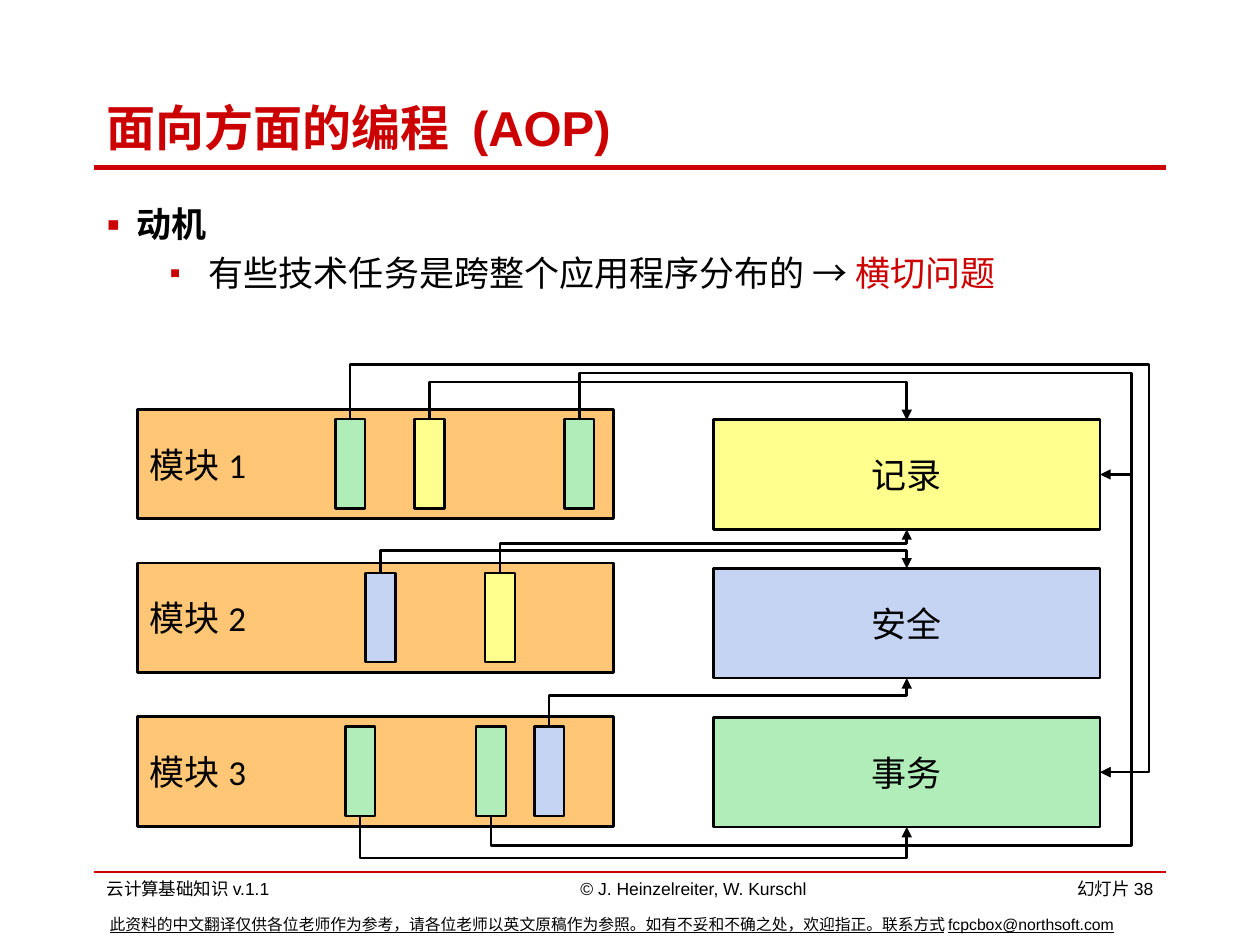
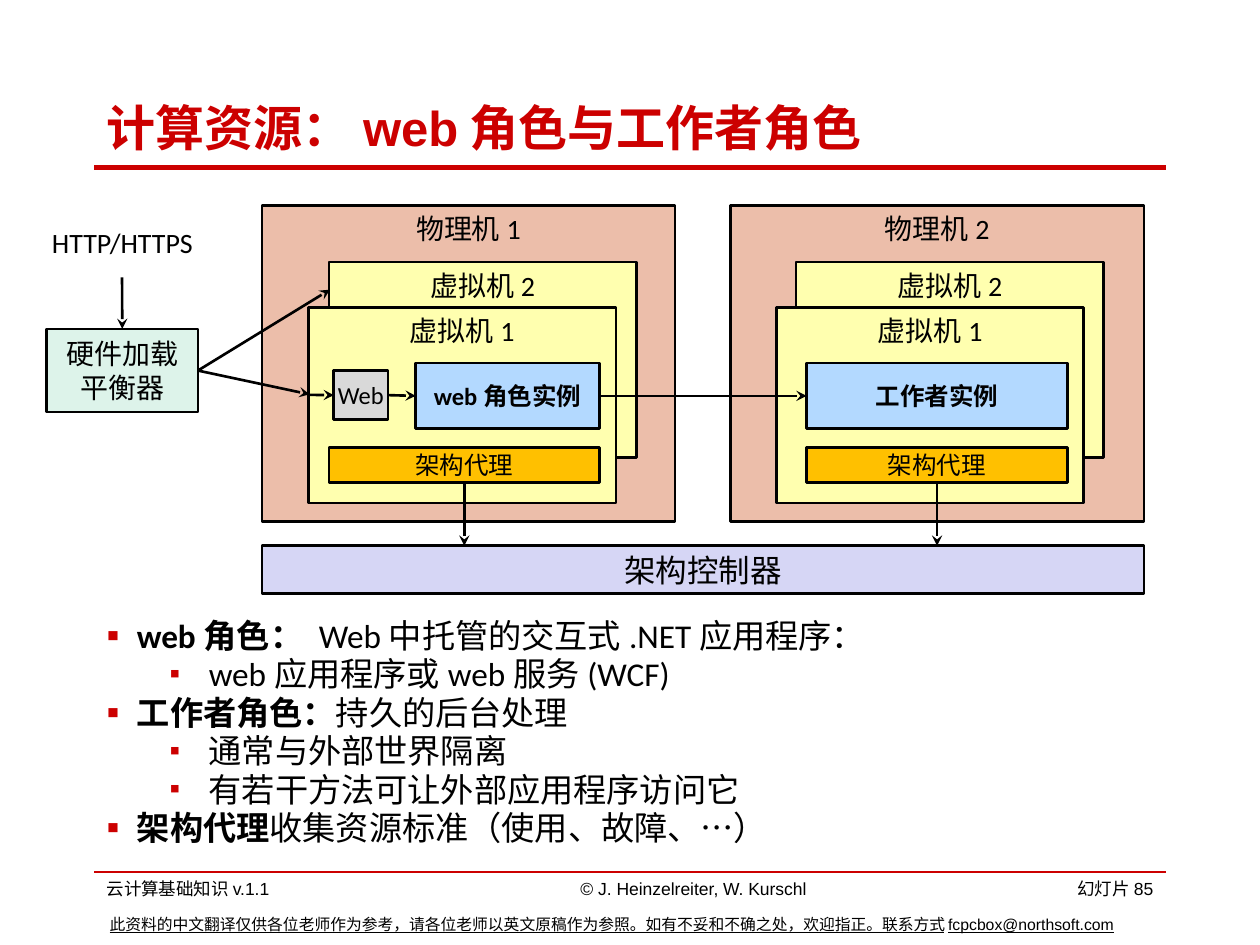
from dataclasses import dataclass

from lxml.etree import SubElement
from pptx import Presentation
from pptx.dml.color import RGBColor
from pptx.enum.shapes import MSO_CONNECTOR, MSO_SHAPE
from pptx.enum.text import MSO_ANCHOR, MSO_AUTO_SIZE, PP_ALIGN
from pptx.oxml.ns import qn
from pptx.util import Cm, Pt

TOP, LEFT, BOTTOM, RIGHT = range(4)  # connection sites of a rectangle


@dataclass(frozen=True)
class Theme:
    red: str = "CC0000"
    black: str = "000000"
    module: str = "FFC775"
    logging: str = "FFFF8D"
    security: str = "C5D4F3"
    transaction: str = "B1EDB8"
    machine: str = "ECBEAA"
    virtual: str = "FFFFAF"
    role: str = "B3D9FF"
    agent: str = "FFC000"
    controller: str = "D6D6F5"
    balancer: str = "DDF3EA"
    server: str = "D9D9D9"
    heading_font: str = "Arial"
    body_font: str = "Calibri"
    title_size: float = 28
    body_size: float = 20
    dense_size: float = 19
    bar_size: float = 18
    label_size: float = 16
    small_size: float = 14
    footer_size: float = 10
    note_size: float = 9
    outline: float = 1.5


def assign(target, values):
    for name, value in values.items():
        setattr(target, name, value)


class SlideBuilder:
    def __init__(self, deck, theme):
        self.deck, self.theme, self.page = deck, theme, None

    # Page frame: title, rules and footers
    def start(self, title, number):
        theme = self.theme
        self.page = self.deck.slides.add_slide(self.deck.slide_layouts[5])
        heading = self.page.shapes.title
        self.place(heading, 1.9, 1.7, 21.8, 1.7)
        self.fill_text(heading, [(title, {"bold": True, "color": theme.red})],
                       size=theme.title_size, font=theme.heading_font)
        for y, width in ((17.58, 1), (3.38, 3)):
            self.line((1.9, y), (23.5, y), theme.red, width)
        footers = (
            ("云计算基础知识v.1.1", 1.9, 7.52, PP_ALIGN.LEFT),
            ("© J. Heinzelreiter, W. Kurschl", 11.4, 5.16, PP_ALIGN.CENTER),
            (f"幻灯片{number}", 20.5, 3, PP_ALIGN.RIGHT),
        )
        for words, left, width, align in footers:
            self.text(words, (left, 17.58, width, 0.69), theme.footer_size,
                      theme.heading_font, align)
        self.text("此资料的中文翻译仅供各位老师作为参考，请各位老师以英文原稿作为参照。"
                  "如有不妥和不确之处，欢迎指正。联系方式fcpcbox@northsoft.com",
                  (1.96, 18.31, 21.87, 0.64), theme.note_size,
                  theme.heading_font, underline=True)

    @staticmethod
    def place(shape, left, top, width, height):
        assign(shape, {"left": Cm(left), "top": Cm(top),
                       "width": Cm(width), "height": Cm(height)})

    # Text
    def spans(self, para, parts, size, font):
        for words, style in parts:
            span = para.add_run()
            span.text = words
            style = {"color": self.theme.black, "bold": False, **style}
            span.font.color.rgb = RGBColor.from_string(style.pop("color"))
            assign(span.font, {"name": font, "size": Pt(size), **style})

    def fill_text(self, shape, parts, size, font, align=PP_ALIGN.LEFT,
                  anchor=MSO_ANCHOR.MIDDLE, wrap=True):
        frame = shape.text_frame
        assign(frame, {
            "auto_size": MSO_AUTO_SIZE.NONE, "word_wrap": wrap,
            "vertical_anchor": anchor,
            "margin_left": Cm(0.25), "margin_right": Cm(0.25),
            "margin_top": Cm(0.13), "margin_bottom": Cm(0.13)})
        frame.paragraphs[0].alignment = align
        self.spans(frame.paragraphs[0], parts, size, font)

    def text(self, words, area, size, font, align=PP_ALIGN.LEFT, **style):
        box = self.page.shapes.add_textbox(*map(Cm, area))
        self.fill_text(box, [(words, style)], size, font, align, MSO_ANCHOR.TOP)

    def bullets(self, area, rows, size, spacing=1.0):
        """Each row is (level, parts)."""
        box = self.page.shapes.add_textbox(*map(Cm, area))
        self.fill_text(box, [], size, self.theme.body_font, anchor=MSO_ANCHOR.TOP)
        frame = box.text_frame
        for index, (level, parts) in enumerate(rows):
            para = frame.add_paragraph() if index else frame.paragraphs[0]
            indent, hang, percent = ((0.61, 0.61, 110), (2.06, 0.79, 90))[level]
            props = para._p.get_or_add_pPr()
            props.set("marL", str(Cm(indent)))
            props.set("indent", str(-Cm(hang)))
            color = SubElement(props, qn("a:buClr"))
            SubElement(color, qn("a:srgbClr")).set("val", self.theme.red)
            SubElement(props, qn("a:buSzPct")).set("val", str(percent * 1000))
            SubElement(props, qn("a:buFont")).set("typeface", self.theme.heading_font)
            SubElement(props, qn("a:buChar")).set("char", "▪")
            assign(para, {"level": level, "line_spacing": spacing,
                          "space_before": Pt(size * 0.2 if index else 0)})
            self.spans(para, parts, size, self.theme.body_font)

    # Rectangles
    def box(self, area, fill, words="", size=0, align=PP_ALIGN.CENTER,
            anchor=MSO_ANCHOR.MIDDLE, wrap=False, **style):
        box = self.page.shapes.add_shape(MSO_SHAPE.RECTANGLE, *map(Cm, area))
        box.shadow.inherit = False
        box.fill.solid()
        box.fill.fore_color.rgb = RGBColor.from_string(fill)
        box.line.color.rgb = RGBColor.from_string(self.theme.black)
        box.line.width = Pt(self.theme.outline)
        if words:
            self.fill_text(box, [(words, style)], size, self.theme.body_font,
                           align, anchor, wrap)
        return box

    # Lines and arrows; an end is a point or a (box, site) pair
    def line(self, start, end, color=None, width=None, head=None,
             kind=MSO_CONNECTOR.STRAIGHT):
        free = [isinstance(point[0], (int, float)) for point in (start, end)]
        points = [point if loose else (0, 0)
                  for point, loose in zip((start, end), free)]
        link = self.page.shapes.add_connector(
            kind, *(Cm(value) for point in points for value in point))
        if not free[0]:
            link.begin_connect(*start)
        if not free[1]:
            link.end_connect(*end)
        link.line.color.rgb = RGBColor.from_string(color or self.theme.black)
        link.line.width = Pt(width or self.theme.outline)
        if head:
            SubElement(link.line._get_or_add_ln(), qn("a:tailEnd")).set("type", head)
        SubElement(link._element.spPr, qn("a:effectLst"))
        return link

    def arrow(self, start, end):
        self.line(start, end, head="stealth")

    def elbow(self, start, end, lane_y, lane_x=None):
        """Leave vertically to lane_y, then optionally turn again at lane_x."""
        link = self.line(start, end, head="triangle", kind=MSO_CONNECTOR.ELBOW)
        x, y = link.begin_x, link.begin_y
        across, down = link.end_x - x, link.end_y - y
        if abs(down) < Cm(0.02):
            down = Cm(0.02)
        ratios = [(Cm(lane_y) - y) / down]
        if lane_x:
            ratios.append((Cm(lane_x) - x) / across)

        # A quarter turn makes the first leg vertical
        width, height = abs(down), abs(across)
        assign(link, {"left": int(x + (across - width) / 2),
                      "top": int(y + (down - height) / 2),
                      "width": width, "height": height})
        frame = link._element.spPr.find(qn("a:xfrm"))
        for flip in ("flipH", "flipV"):
            frame.attrib.pop(flip, None)
        frame.set("rot", str((90 if down > 0 else 270) * 60000))
        if down > 0:
            frame.set("flipV", "1")

        geometry = link._element.spPr.find(qn("a:prstGeom"))
        geometry.set("prst", f"bentConnector{len(ratios) + 2}")
        for old in list(geometry):
            geometry.remove(old)
        guides = SubElement(geometry, qn("a:avLst"))
        for index, ratio in enumerate(ratios, 1):
            guide = SubElement(guides, qn("a:gd"))
            guide.set("name", f"adj{index}")
            guide.set("fmla", f"val {round(ratio * 100000)}")


def aspect_slide(slide):
    theme = slide.theme
    slide.start("面向方面的编程 (AOP)", 38)
    slide.bullets((1.9, 3.96, 21.59, 3.02), [
        (0, [("动机", {"bold": True})]),
        (1, [("有些技术任务是跨整个应用程序分布的 → ", {}),
             ("横切问题", {"color": theme.red})]),
    ], theme.body_size)

    # Services on the right
    services = [
        slide.box((14.38, 8.46 + 3 * row, 7.8, 2.21), fill, words, theme.body_size)
        for row, (words, fill) in enumerate((
            ("记录", theme.logging), ("安全", theme.security),
            ("事务", theme.transaction)))]
    logging, security, transaction = services

    # Modules with the concerns scattered through them
    scattered = (
        ((6.76, theme.transaction), (8.36, theme.logging), (11.38, theme.transaction)),
        ((7.37, theme.security), (9.78, theme.logging)),
        ((6.96, theme.transaction), (9.6, theme.transaction), (10.77, theme.security)),
    )
    concerns = []
    for row, strips in enumerate(scattered):
        top = 8.25 + 3.1 * row
        slide.box((2.77, top, 9.6, 2.21), theme.module, f"模块{row + 1}",
                  theme.body_size, PP_ALIGN.LEFT)
        concerns.append([slide.box((left, top + 0.2, 0.6, 1.8), fill)
                         for left, fill in strips])

    # Calls from each concern to its service
    first, second, third = concerns
    calls = (
        (first[0], TOP, transaction, RIGHT, 7.34, 23.16),
        (first[2], TOP, transaction, RIGHT, 7.52, 22.81),
        (first[1], TOP, logging, TOP, 7.7, None),
        (second[0], TOP, security, TOP, 11.1, None),
        (second[1], TOP, logging, BOTTOM, 10.95, None),
        (third[2], TOP, security, BOTTOM, 14.02, None),
        (third[0], BOTTOM, transaction, BOTTOM, 17.3, None),
        (third[1], BOTTOM, logging, RIGHT, 17.04, 22.81),
    )
    for concern, leave, service, arrive, lane_y, lane_x in calls:
        slide.elbow((concern, leave), (service, arrive), lane_y, lane_x)


def roles_slide(slide):
    theme = slide.theme
    slide.start("计算资源：web角色与工作者角色", 85)
    bold = {"bold": True}
    slide.bullets((1.9, 12.42, 21.59, 5.21), [
        (0, [("web角色： ", bold), ("Web中托管的交互式.NET应用程序：", {})]),
        (1, [("web应用程序或web服务(WCF)", {})]),
        (0, [("工作者角色：", bold), ("持久的后台处理", {})]),
        (1, [("通常与外部世界隔离", {})]),
        (1, [("有若干方法可让外部应用程序访问它", {})]),
        (0, [("架构代理", bold), ("收集资源标准（使用、故障、…）", {})]),
    ], theme.dense_size, 0.8)

    # Physical machines, each with two virtual machines, a role and an agent
    machines = (
        (5.28, 6.63, 6.22, "web角色实例", (8.38, 3.71), (6.63, 5.46)),
        (14.73, 16.05, 15.65, "工作者实例", (16.26, 5.26), (16.26, 5.26)),
    )
    roles, agents = [], []
    for number, (left, back, front, role, role_span, agent_span) in enumerate(machines, 1):
        for area, fill, words in (
                ((left, 4.14, 8.33, 6.38), theme.machine, f"物理机{number}"),
                ((back, 5.28, 6.2, 3.94), theme.virtual, "虚拟机2"),
                ((front, 6.2, 6.2, 3.94), theme.virtual, "虚拟机1")):
            slide.box(area, fill, words, theme.label_size, anchor=MSO_ANCHOR.TOP)
        roles.append(slide.box((role_span[0], 7.32, role_span[1], 1.32),
                               theme.role, role, theme.small_size, bold=True))
        agents.append(slide.box((agent_span[0], 9.02, agent_span[1], 0.71),
                                theme.agent, "架构代理", theme.small_size))

    # Entry point, web server and controller
    slide.text("HTTP/HTTPS", (0.69, 4.42, 3.56, 0.94), theme.label_size,
               theme.body_font, PP_ALIGN.CENTER)
    balancer = slide.box((0.94, 6.63, 3.05, 1.68), theme.balancer,
                         "硬件加载平衡器", theme.label_size, wrap=True)
    server = slide.box((6.73, 7.47, 1.09, 0.99), theme.server, "Web", theme.small_size)
    slide.box((5.28, 11, 17.78, 0.97), theme.controller, "架构控制器", theme.bar_size)

    # Flow of requests
    slide.arrow((2.46, 5.59), (balancer, TOP))
    for target in ((6.24, 7.95), (6.65, 5.84)):
        slide.arrow((balancer, RIGHT), target)
    slide.arrow((6.22, 7.96), (server, LEFT))
    slide.arrow((server, RIGHT), (roles[0], LEFT))
    slide.arrow((roles[0], RIGHT), (roles[1], LEFT))
    for agent in agents:
        slide.arrow((agent, BOTTOM), ((agent.left + agent.width / 2) / Cm(1), 11))


def main():
    deck = Presentation()
    assign(deck, {"slide_width": Cm(25.4), "slide_height": Cm(19.05)})
    slide = SlideBuilder(deck, Theme())
    aspect_slide(slide)
    roles_slide(slide)
    deck.save("out.pptx")


if __name__ == "__main__":
    main()
